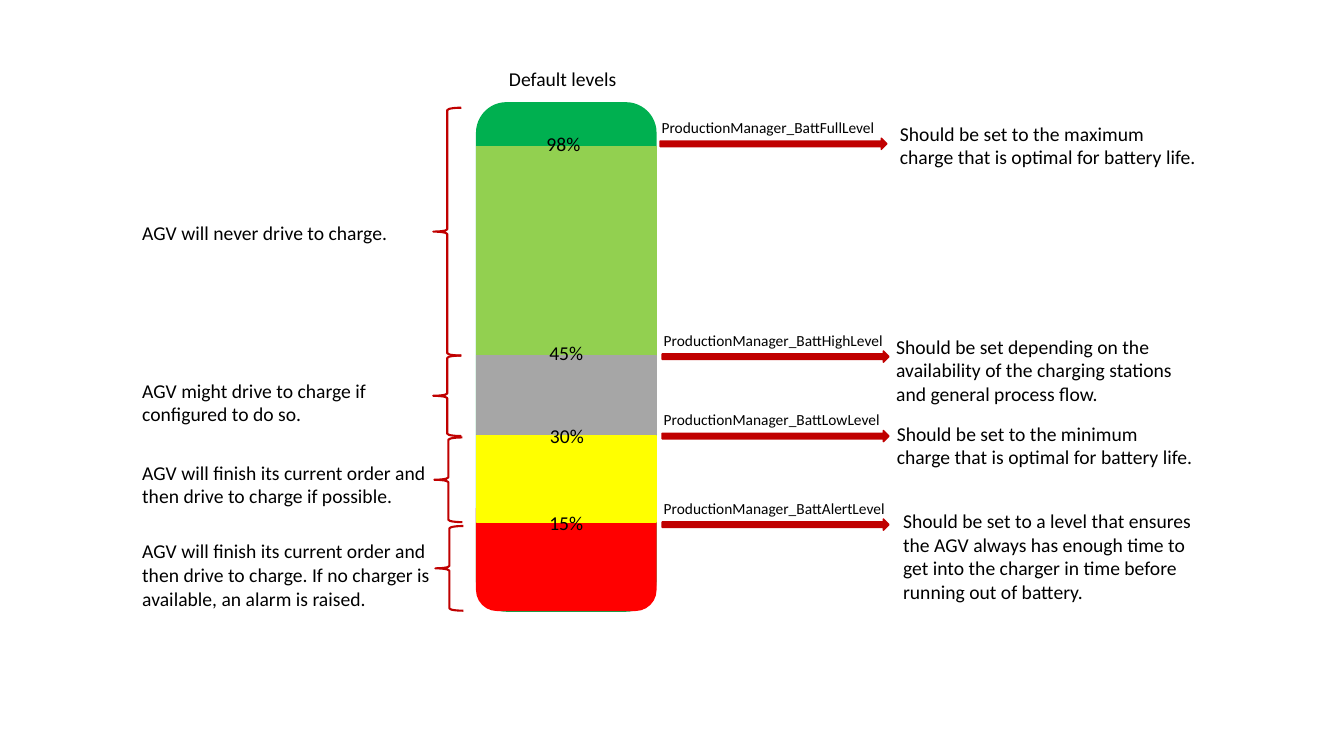
from dataclasses import dataclass

from pptx import Presentation
from pptx.dml.color import RGBColor
from pptx.enum.shapes import MSO_SHAPE
from pptx.enum.text import MSO_AUTO_SIZE, PP_ALIGN
from pptx.shapes.autoshape import Shape
from pptx.slide import Slide
from pptx.util import Pt


@dataclass(frozen=True)
class Theme:
    font: str = "Calibri"
    body_size: float = 14
    setting_size: float = 11
    text: str = "000000"
    accent: str = "C00000"
    full: str = "00B050"
    high: str = "92D050"
    middle: str = "A6A6A6"
    low: str = "FFFF00"
    alert: str = "FF0000"


@dataclass(frozen=True)
class Box:
    left: float
    top: float
    width: float
    height: float

    def lengths(self) -> tuple[Pt, Pt, Pt, Pt]:
        return Pt(self.left), Pt(self.top), Pt(self.width), Pt(self.height)


@dataclass(frozen=True)
class Segment:
    kind: MSO_SHAPE
    color: str
    top: float
    height: float


@dataclass(frozen=True)
class Level:
    percent: str
    percent_left: float
    percent_top: float
    setting: str
    setting_width: float
    arrow_left: float
    arrow_top: float
    advice: str
    advice_box: Box


@dataclass(frozen=True)
class Zone:
    behaviour: str
    text_top: float
    text_height: float
    brace_left: float
    brace_top: float
    brace_height: float


THEME = Theme()
BATTERY_LEFT, BATTERY_WIDTH = 340.5, 128
LINE_HEIGHT = 24.5

SEGMENTS = [
    Segment(MSO_SHAPE.ROUNDED_RECTANGLE, THEME.full, 73.5, 363),
    Segment(MSO_SHAPE.ROUNDED_RECTANGLE, THEME.alert, 348.75, 87.25),
    Segment(MSO_SHAPE.RECTANGLE, THEME.low, 311, 62),
    Segment(MSO_SHAPE.RECTANGLE, THEME.high, 104.5, 150),
    Segment(MSO_SHAPE.RECTANGLE, THEME.middle, 254, 56.5),
]

LEVELS = [
    Level("98%", 383, 90.75, "ProductionManager_BattFullLevel", 168, 471.5, 98.75,
          "Should be set to the maximum charge that is optimal for battery life.",
          Box(635.75, 83.5, 227, 41)),
    Level("45%", 385, 239.75, "ProductionManager_BattHighLevel", 173, 473, 250.75,
          "Should be set depending on the availability of the charging stations "
          "and general process flow.",
          Box(633, 235.5, 228, 58)),
    Level("30%", 385.5, 299.5, "ProductionManager_BattLowLevel", 170.5, 473, 307.5,
          "Should be set to the minimum charge that is optimal for battery life.",
          Box(633.5, 297.5, 227.5, 41)),
    Level("15%", 385, 361.5, "ProductionManager_BattAlertLevel", 174, 473, 370.75,
          "Should be set to a level that ensures the AGV always has enough time "
          "to get into the charger in time before running out of battery.",
          Box(638, 360, 228, 75)),
]

ZONES = [
    Zone("AGV will never drive to charge.", 154, LINE_HEIGHT, 309.5, 77, 177),
    Zone("AGV might drive to charge if configured to do so.",
         267, 41, 309.5, 254, 57.5),
    Zone("AGV will finish its current order and then drive to charge if possible.",
         325.5, 41, 310.25, 312.5, 60.5),
    Zone("AGV will finish its current order and then drive to charge. "
         "If no charger is available, an alarm is raised.",
         381.75, 58, 311, 375.75, 60.5),
]


def add_label(slide: Slide, text: str, box: Box, size: float = THEME.body_size,
              wrap: bool = True, align: PP_ALIGN = PP_ALIGN.LEFT) -> None:
    frame = slide.shapes.add_textbox(*box.lengths()).text_frame
    frame.word_wrap = wrap
    frame.auto_size = MSO_AUTO_SIZE.SHAPE_TO_FIT_TEXT
    paragraph = frame.paragraphs[0]
    paragraph.text = text
    paragraph.alignment = align
    paragraph.font.name = THEME.font
    paragraph.font.size = Pt(size)
    paragraph.font.color.rgb = RGBColor.from_string(THEME.text)


def add_outlined(slide: Slide, kind: MSO_SHAPE, box: Box, color: str,
                 line_width: float) -> Shape:
    shape = slide.shapes.add_shape(kind, *box.lengths())
    shape.shadow.inherit = False
    shape.line.color.rgb = RGBColor.from_string(color)
    shape.line.width = Pt(line_width)
    return shape


def add_solid(slide: Slide, kind: MSO_SHAPE, box: Box, color: str) -> None:
    shape = add_outlined(slide, kind, box, color, 1)
    shape.fill.solid()
    shape.fill.fore_color.rgb = RGBColor.from_string(color)


def add_level(slide: Slide, level: Level) -> None:
    add_label(slide, level.percent,
              Box(level.percent_left, level.percent_top, 39, LINE_HEIGHT),
              wrap=False, align=PP_ALIGN.CENTER)
    add_solid(slide, MSO_SHAPE.RIGHT_ARROW,
              Box(level.arrow_left, level.arrow_top, 162, 8), THEME.accent)
    add_label(slide, level.setting,
              Box(level.arrow_left - 6, level.arrow_top - 18, level.setting_width, 20.5),
              size=THEME.setting_size, wrap=False)
    add_label(slide, level.advice, level.advice_box)


def add_zone(slide: Slide, zone: Zone) -> None:
    add_label(slide, zone.behaviour, Box(94.5, zone.text_top, 227, zone.text_height))
    brace = add_outlined(slide, MSO_SHAPE.LEFT_BRACE,
                         Box(zone.brace_left, zone.brace_top, 20, zone.brace_height),
                         THEME.accent, 1.5)
    brace.fill.background()


def main() -> None:
    presentation = Presentation()
    presentation.slide_width, presentation.slide_height = Pt(960), Pt(540)
    slide = presentation.slides.add_slide(presentation.slide_layouts[6])

    # Battery with its caption
    for segment in SEGMENTS:
        add_solid(slide, segment.kind,
                  Box(BATTERY_LEFT, segment.top, BATTERY_WIDTH, segment.height),
                  segment.color)
    add_label(slide, "Default levels", Box(356.5, 44, 92, LINE_HEIGHT), wrap=False)

    # Thresholds on the right
    for level in LEVELS:
        add_level(slide, level)

    # Vehicle behaviour on the left
    for zone in ZONES:
        add_zone(slide, zone)

    presentation.save("out.pptx")


if __name__ == "__main__":
    main()
